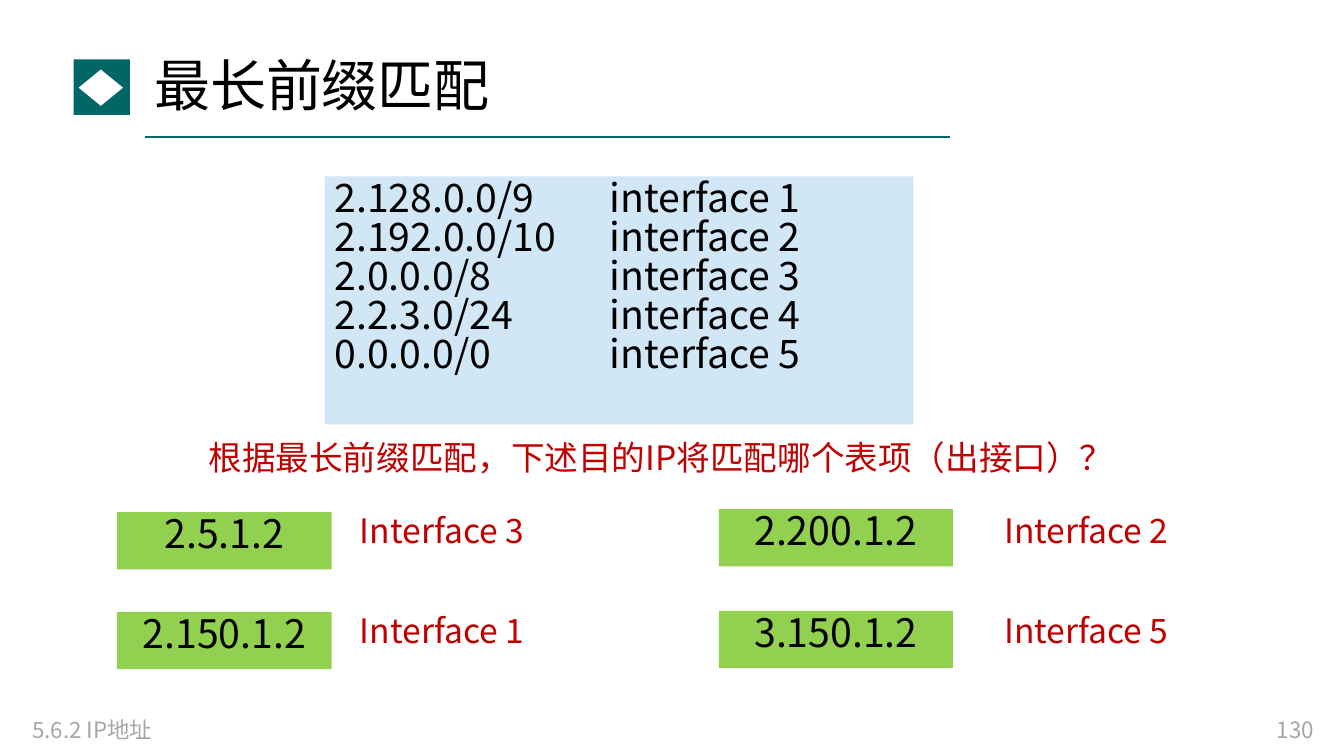
from lxml.etree import SubElement
from pptx import Presentation
from pptx.dml.color import RGBColor
from pptx.enum.shapes import MSO_CONNECTOR, MSO_SHAPE
from pptx.enum.text import MSO_ANCHOR, PP_ALIGN
from pptx.oxml.ns import qn
from pptx.util import Inches, Pt

FONT = "Noto Sans CJK SC"
COLORS = {
    "teal": "006666",
    "white": "FFFFFF",
    "black": "000000",
    "grey": "A6A6A6",
    "blue": "D1E7F6",
    "green": "92D050",
    "red": "C00000",
}
ROUTES = [
    ("2.128.0.0/9", "interface 1"),
    ("2.192.0.0/10", "interface 2"),
    ("2.0.0.0/8", "interface 3"),
    ("2.2.3.0/24", "interface 4"),
    ("0.0.0.0/0", "interface 5"),
]
QUIZ = [
    (1.16, 5.08, 2.13, "2.5.1.2", 2.89, 5.08, "Interface 3"),
    (7.13, 5.05, 2.32, "2.200.1.2", 9.28, 5.08, "Interface 2"),
    (1.16, 6.07, 2.13, "2.150.1.2", 2.89, 6.07, "Interface 1"),
    (7.13, 6.06, 2.32, "3.150.1.2", 9.28, 6.07, "Interface 5"),
]


def color(name):
    return RGBColor.from_string(COLORS[name])


def add_run(para, text, size, tint):
    run = para.add_run()
    run.text = text
    run.font.size = Pt(size)
    run.font.name = FONT
    run.font.color.rgb = color(tint)
    SubElement(run._r.get_or_add_rPr(), qn("a:ea")).set("typeface", FONT)


def add_tab(para, place):
    tabs = SubElement(para._p.get_or_add_pPr(), qn("a:tabLst"))
    SubElement(tabs, qn("a:tab"), pos=str(Inches(place)), algn="l")


def write(shape, lines, size, tint, align=PP_ALIGN.LEFT, space=0.83,
          anchor=MSO_ANCHOR.TOP, tab=None):
    frame = shape.text_frame
    frame.word_wrap = True
    frame.vertical_anchor = anchor
    for i, line in enumerate(lines):
        para = frame.paragraphs[0] if i == 0 else frame.add_paragraph()
        para.alignment = align
        para.line_spacing = space
        if tab:
            add_tab(para, tab)
        add_run(para, line, size, tint)


def add_block(slide, kind, box, fill):
    shape = slide.shapes.add_shape(kind, *map(Inches, box))
    shape.shadow.inherit = False
    shape.fill.solid()
    shape.fill.fore_color.rgb = color(fill)
    shape.line.fill.background()
    return shape


def add_label(slide, box, text, size, tint, **style):
    label = slide.shapes.add_textbox(*map(Inches, box))
    write(label, [text], size, tint, **style)


def add_rule(slide, left, right, top):
    rule = slide.shapes.add_connector(
        MSO_CONNECTOR.STRAIGHT,
        Inches(left), Inches(top), Inches(right), Inches(top))
    rule.line.color.rgb = color("teal")
    rule.line.width = Pt(1.5)
    SubElement(rule._element.spPr, qn("a:effectLst"))


def add_head(slide):
    add_block(slide, MSO_SHAPE.RECTANGLE, (0.73, 0.59, 0.56, 0.55), "teal")
    add_block(slide, MSO_SHAPE.DIAMOND, (0.78, 0.69, 0.44, 0.36), "white")
    add_rule(slide, 1.44, 9.42, 1.36)
    add_label(slide, (1.43, 0.4, 8.99, 0.96), "最长前缀匹配", 40, "black",
              space=0.9, anchor=MSO_ANCHOR.MIDDLE)


def add_foot(slide):
    add_label(slide, (0.22, 7.1, 3, 0.4), "5.6.2 IP地址", 16, "grey")
    add_label(slide, (9.5, 7.1, 3.63, 0.4), "130", 16, "grey",
              align=PP_ALIGN.RIGHT)


def add_routes(slide):
    panel = add_block(slide, MSO_SHAPE.RECTANGLE,
                      (3.22, 1.75, 5.84, 2.46), "blue")
    write(panel, ["\t".join(route) for route in ROUTES], 28, "black", tab=2.73)


def add_quiz(slide):
    center = PP_ALIGN.CENTER
    add_label(slide, (1.81, 4.35, 9.16, 0.7),
              "根据最长前缀匹配，下述目的IP将匹配哪个表项（出接口）？",
              24, "red", align=center)
    for left, top, width, host, x, y, answer in QUIZ:
        card = add_block(slide, MSO_SHAPE.RECTANGLE,
                         (left, top, width, 0.57), "green")
        write(card, [host], 28, "black", align=center)
        add_label(slide, (x, y, 2.99, 0.7), answer, 24, "red", align=center)


def main():
    deck = Presentation()
    deck.slide_width = Inches(13.33)
    deck.slide_height = Inches(7.5)
    slide = deck.slides.add_slide(deck.slide_layouts[6])
    add_head(slide)
    add_foot(slide)
    add_routes(slide)
    add_quiz(slide)
    deck.save("out.pptx")


if __name__ == "__main__":
    main()
